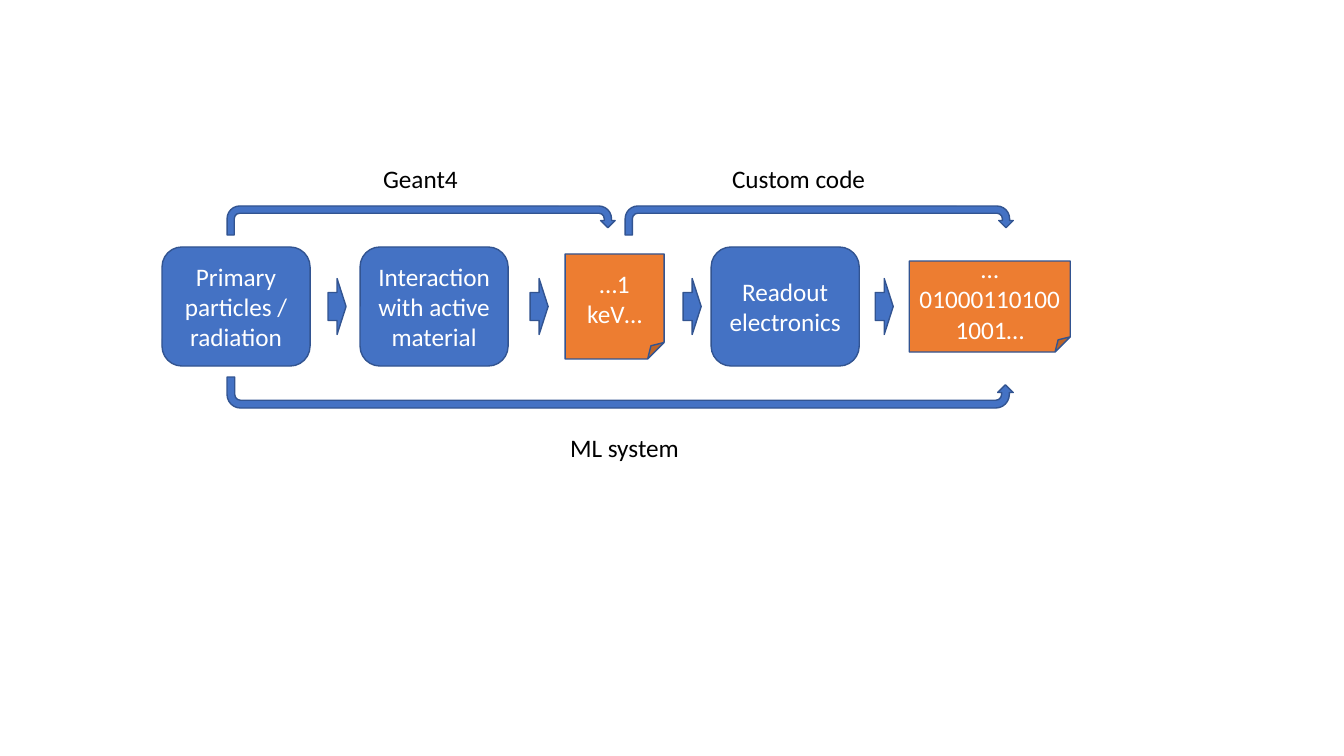
from pptx import Presentation
from pptx import util as u
from pptx.dml.color import RGBColor
from pptx.enum import shapes, text

PIXEL = 914400 / 100.8
COLORS = {"blue": "4472C4", "orange": "ED7D31", "edge": "325491",
          "white": "FFFFFF", "black": "000000"}
KIND = shapes.MSO_SHAPE


def pixels(*lengths):
    return [u.Emu(round(length * PIXEL)) for length in lengths]


def color(name):
    return RGBColor.from_string(COLORS[name])


def write(frame, words, ink):
    frame.text = words
    font = frame.paragraphs[0].runs[0].font
    font.name = "Calibri"
    font.size = u.Pt(18)
    font.color.rgb = color(ink)


def add_block(page, kind, box, fill="blue", words=""):
    block = page.shapes.add_shape(kind, *pixels(*box))
    block.shadow.inherit = False
    block.fill.solid()
    block.fill.fore_color.rgb = color(fill)
    block.line.color.rgb = color("edge")
    block.line.width = u.Pt(1)
    if words:
        frame = block.text_frame
        frame.word_wrap = True
        frame.vertical_anchor = text.MSO_ANCHOR.MIDDLE
        write(frame, words, "white")
        frame.paragraphs[0].alignment = text.PP_ALIGN.CENTER
    return block


def add_flow(page, box):
    left, top, width, height = box
    process = (KIND.ROUNDED_RECTANGLE, "blue")
    data = (KIND.FOLDED_CORNER, "orange")
    stages = [
        (process, 0, 148, 119, "Primary particles / radiation"),
        (process, 198, 148, 119, "Interaction with active material"),
        (data, 403, 99, 105, "…1 keV…"),
        (process, 549, 148, 119, "Readout electronics"),
        (data, 747, 161, 91, "…010001101001001…"),
    ]
    for (kind, fill), offset, wide, high, words in stages:
        place = (left + offset, top + (height - high) / 2, wide, high)
        add_block(page, kind, place, fill, words)
    for offset in (166, 368, 521, 713):
        place = (left + offset, top + (height - 56) / 2, 18, 56)
        add_block(page, KIND.RIGHT_ARROW, place)


def add_route(page, box, words, label_box, below=False):
    left, top, width, height = box
    arrow = add_block(page, KIND.U_TURN_ARROW, box)
    if below:
        arrow.rotation = 180
        arrow._element.spPr.xfrm.set("flipH", "1")
    across, down, wide, high = label_box
    label = page.shapes.add_textbox(*pixels(left + across, top + down, wide, high))
    label.text_frame.word_wrap = False
    label.text_frame.auto_size = text.MSO_AUTO_SIZE.SHAPE_TO_FIT_TEXT
    write(label.text_frame, words, "black")


deck = Presentation()
deck.slide_width, deck.slide_height = u.Inches(13.33), u.Inches(7.5)
page = deck.slides.add_slide(deck.slide_layouts[6])
add_flow(page, (162, 247, 908, 119))
add_route(page, (227, 206, 388, 29), "Geant4", (146, -48, 96, 40))
add_route(page, (625, 206, 388, 29), "Custom code", (97, -48, 155, 40))
add_route(page, (227, 377, 786, 31), "ML system", (333, 50, 130, 40), below=True)
deck.save("out.pptx")
